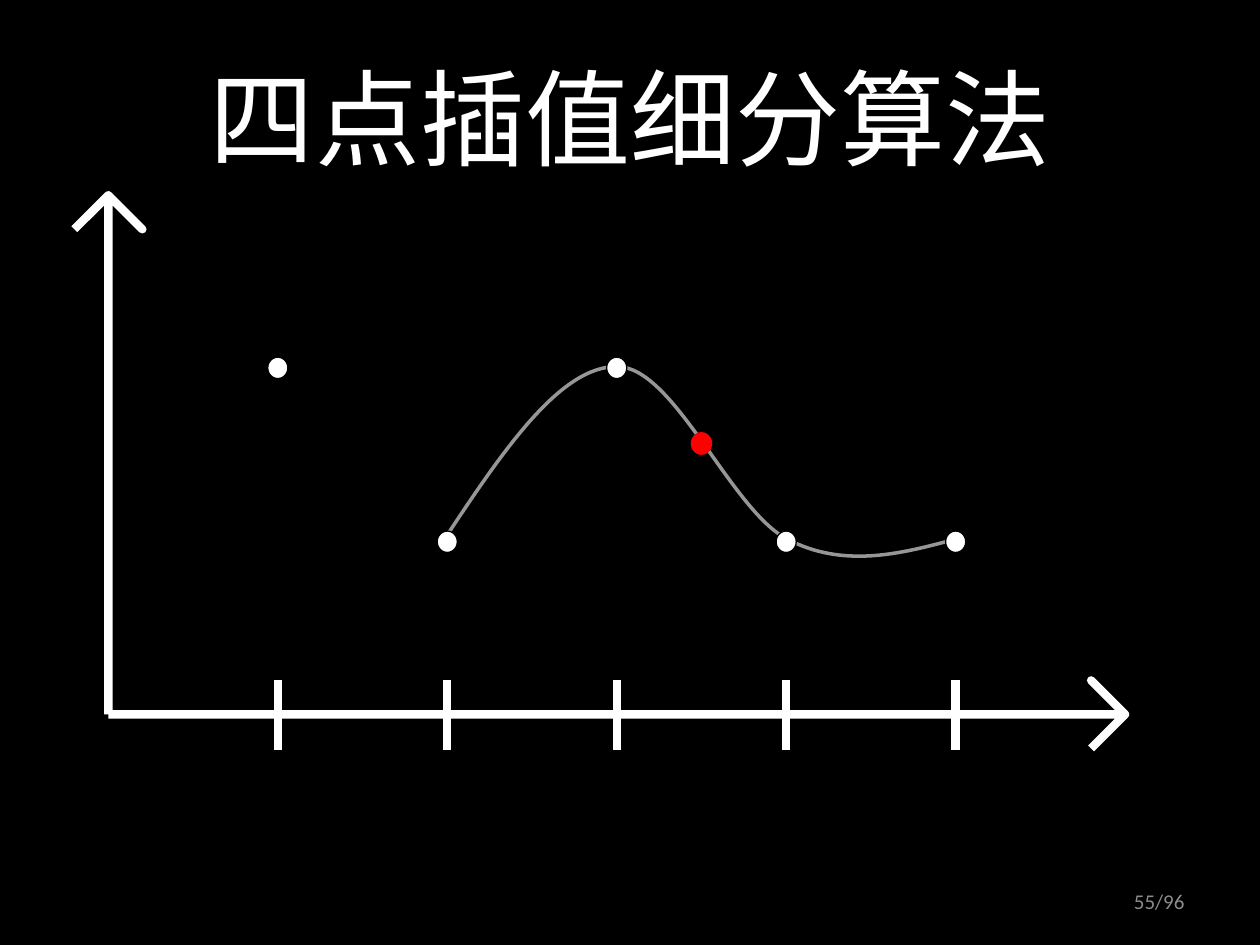
"""Build the slide on the four-point interpolating subdivision algorithm."""
from lxml.etree import SubElement
from pptx import Presentation
from pptx.dml.color import RGBColor
from pptx.enum.shapes import MSO_CONNECTOR, MSO_SHAPE
from pptx.enum.text import MSO_ANCHOR, PP_ALIGN
from pptx.oxml.ns import qn
from pptx.util import Inches, Pt

BLACK = RGBColor(0, 0, 0)
WHITE = RGBColor(255, 255, 255)
RED = RGBColor(255, 0, 0)
CURVE_GRAY = RGBColor(0x96, 0x96, 0x96)
NUMBER_GRAY = RGBColor(0x8C, 0x8C, 0x8C)

presentation = Presentation()
presentation.slide_width = Inches(10)
presentation.slide_height = Inches(7.5)
slide = presentation.slides.add_slide(presentation.slide_layouts[6])
slide.background.fill.solid()
slide.background.fill.fore_color.rgb = BLACK


def add_text(text, box, alignment, size, font_name, color):
    shape = slide.shapes.add_textbox(*map(Inches, box))
    shape.text_frame.word_wrap = True
    shape.text_frame.vertical_anchor = MSO_ANCHOR.MIDDLE
    paragraph = shape.text_frame.paragraphs[0]
    paragraph.text = text
    paragraph.alignment = alignment
    paragraph.font.size = Pt(size)
    paragraph.font.name = font_name
    paragraph.font.color.rgb = color
    defaults = paragraph._p.pPr.find(qn("a:defRPr"))
    SubElement(defaults, qn("a:ea"), typeface=font_name)


def add_path(points, color, width):
    start, *rest = [(Inches(x), Inches(y)) for x, y in points]
    builder = slide.shapes.build_freeform(*start)
    builder.add_line_segments(rest, close=False)
    shape = builder.convert_to_shape()
    shape.shadow.inherit = False
    shape.fill.background()
    shape.line.color.rgb = color
    shape.line.width = Pt(width)
    return shape


add_text("55/96", (7.17, 6.95, 2.33, 0.4), PP_ALIGN.RIGHT, 12, "Calibri", NUMBER_GRAY)
add_text("四点插值细分算法", (0.5, 0.3, 9, 1.25), PP_ALIGN.CENTER, 60, "Noto Sans CJK SC", WHITE)

curve_points = [
    (3.54, 4.26),
    (3.99, 3.58), (4.45, 2.9), (4.9, 2.91),
    (5.35, 2.91), (5.8, 4.05), (6.25, 4.28),
    (6.69, 4.51), (7.14, 4.4), (7.58, 4.28),
]
curve = add_path(curve_points, CURVE_GRAY, 2)
curve_path = next(curve._element.iter(qn("a:path")))
segments = curve_path.findall(qn("a:lnTo"))
for index in range(0, len(segments), 3):
    bezier = SubElement(curve_path, qn("a:cubicBezTo"))
    for segment in segments[index:index + 3]:
        bezier.append(segment[0])
        curve_path.remove(segment)

origin_x, axis_y = 0.86, 5.67
right, top, head = 8.93, 1.55, 0.27
add_path([(origin_x, axis_y), (right, axis_y), (right - head, axis_y - head),
          (right, axis_y), (right - head, axis_y + head)], WHITE, 4.75)
add_path([(origin_x, axis_y), (origin_x, top), (origin_x + head, top + head),
          (origin_x, top), (origin_x - head, top + head)], WHITE, 4.75)

tick_step = 1.345
tick_positions = [origin_x + tick_step * number for number in range(1, 6)]
for x in tick_positions:
    tick = slide.shapes.add_connector(
        MSO_CONNECTOR.STRAIGHT, Inches(x), Inches(5.4), Inches(x), Inches(5.95))
    tick.line.color.rgb = WHITE
    tick.line.width = Pt(4.75)
    SubElement(tick._element.spPr, qn("a:effectLst"))

high, low = 2.92, 4.3
dot_width, dot_height = 0.16, 0.17
dots = [(x, y, WHITE, BLACK) for x, y in zip(tick_positions, (high, low, high, low, low))]
dots.append((origin_x + 3.5 * tick_step, 3.52, RED, RED))
for x, y, fill_color, line_color in dots:
    dot = slide.shapes.add_shape(
        MSO_SHAPE.OVAL, Inches(x - dot_width / 2), Inches(y - dot_height / 2),
        Inches(dot_width), Inches(dot_height))
    dot.shadow.inherit = False
    dot.fill.solid()
    dot.fill.fore_color.rgb = fill_color
    dot.line.color.rgb = line_color
    dot.line.width = Pt(0)

presentation.save("out.pptx")
